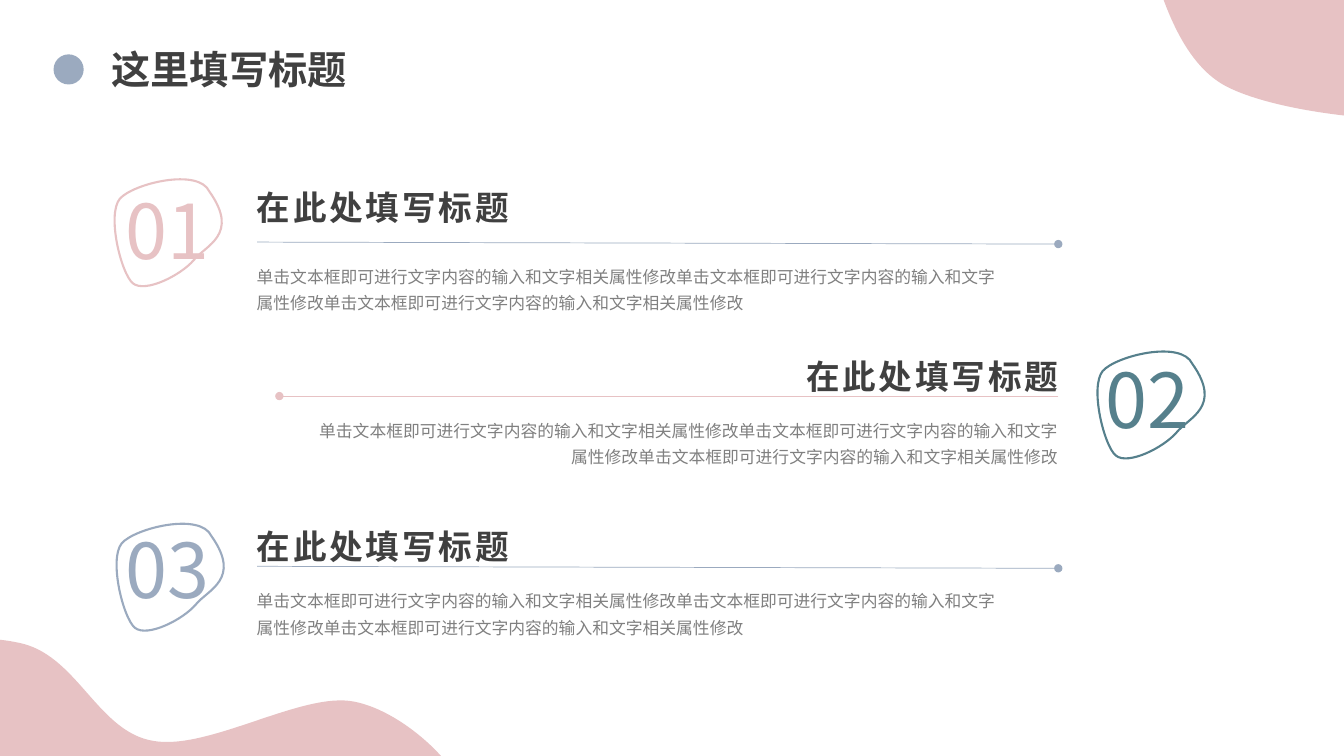
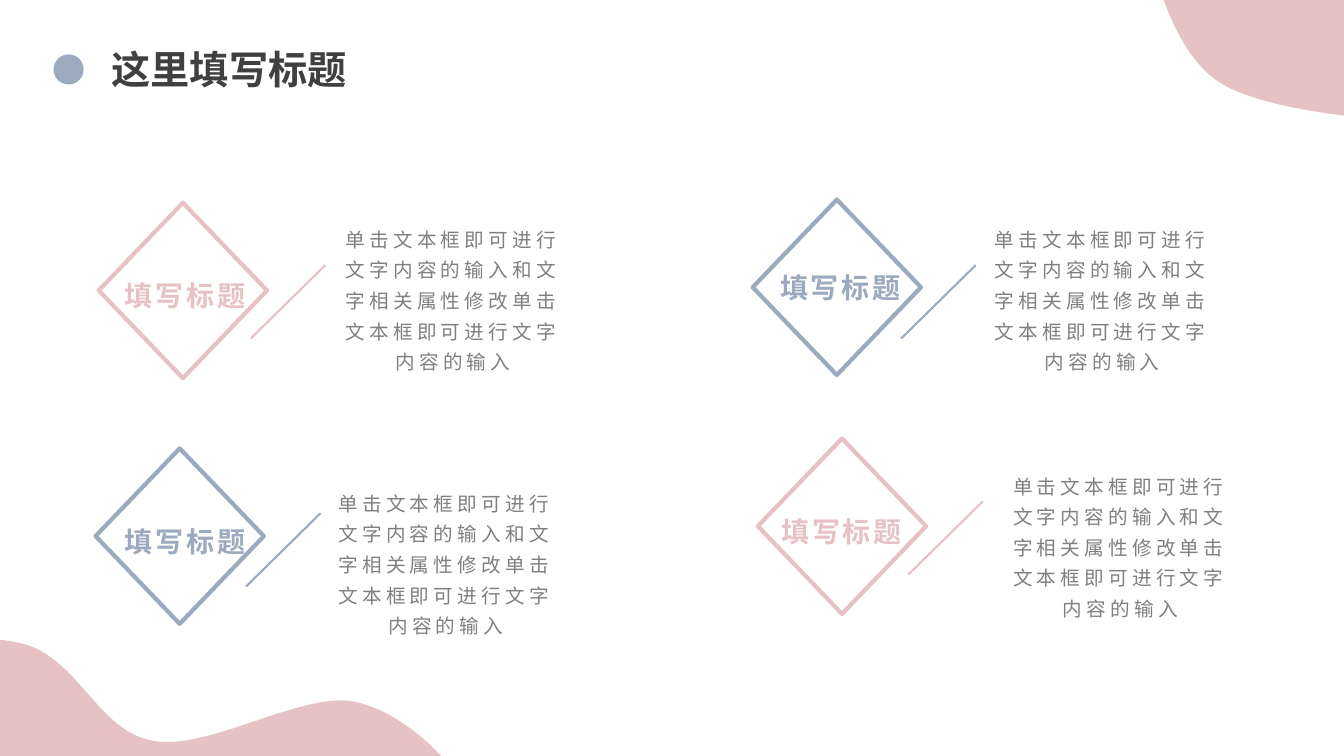
from lxml import etree
from pptx import Presentation
from pptx.dml.color import RGBColor
from pptx.enum.shapes import MSO_CONNECTOR as Connector, MSO_SHAPE as Shape
from pptx.enum.text import PP_ALIGN as Align
from pptx.oxml.ns import qn
from pptx.util import Cm, Pt

PINK = RGBColor(0xE7, 0xC2, 0xC4)
BLUE = RGBColor(0x9B, 0xAA, 0xBF)
TEAL = RGBColor(0x56, 0x80, 0x8C)
DARK = RGBColor(0x40, 0x40, 0x40)
GREY = RGBColor(0x80, 0x80, 0x80)
FONT = "Noto Sans CJK SC"

# Bezier outlines in hundredths of a centimetre: a start, then three points per curve.
CORNER = [
    (2860, -231),
    (2896, -157), (2931, 135), (3091, 218),
    (3254, 302), (3693, 333), (3825, 267),
    (3957, 201), (3980, -89), (3886, -183),
    (3792, -279), (3426, -295), (3259, -302),
    (3091, -310), (2944, -236), (2875, -226),
    (2809, -213), (2824, -305), (2860, -231),
]
WAVE = [
    (-432, 1648),
    (-348, 1615), (-74, 1588), (61, 1623),
    (198, 1661), (249, 1844), (386, 1867),
    (526, 1892), (762, 1742), (892, 1768),
    (1024, 1793), (1181, 1951), (1168, 2019),
    (1158, 2088), (1087, 2207), (818, 2172),
    (549, 2139), (-239, 1900), (-445, 1814),
    (-653, 1725), (-516, 1679), (-432, 1648),
]
PEBBLE = [
    (48, 259),
    (18, 234), (-18, 86), (15, 46),
    (48, 8), (213, -33), (241, 28),
    (318, 137), (231, 163), (201, 201),
    (168, 239), (79, 284), (48, 259),
]

TITLE = "这里填写标题"
HEADING = "在此处填写标题"
LABEL = "填写标题"
SECTION_BODY = (
    "单击文本框即可进行文字内容的输入和文字相关属性修改"
    "单击文本框即可进行文字内容的输入和文字"
    "属性修改单击文本框即可进行文字内容的输入和文字相关属性修改"
)
CARD_BODY = (
    "单击文本框即可进行文字内容的输入和文字相关属性修改"
    "单击文本框即可进行文字内容的输入"
)


class Deck:
    def __init__(self):
        self.prs = Presentation()
        self.prs.slide_width, self.prs.slide_height = Cm(33.87), Cm(19.05)
        self.s = None

    def new_slide(self, title):
        """Start a slide with the shared blobs, dot and title."""
        self.s = self.prs.slides.add_slide(self.prs.slide_layouts[6])
        self.curve(CORNER, fill=PINK)
        self.curve(WAVE, fill=PINK)
        self.text(title, 1.9, 1.02, 7.75, 1.45, 28, DARK, bold=True, align=Align.CENTER)
        self.shape(Shape.OVAL, 1.35, 1.37, 0.76, 0.76, fill=BLUE)

    def paint(self, sp, fill, line, width):
        sp.shadow.inherit = False
        if fill is None:
            sp.fill.background()
        else:
            sp.fill.solid()
            sp.fill.fore_color.rgb = fill
        if line is None:
            sp.line.fill.background()
        else:
            sp.line.color.rgb = line
            sp.line.width = Pt(width)

    def shape(self, kind, x, y, w, h, fill=None, line=None, width=1.5):
        sp = self.s.shapes.add_shape(kind, Cm(x), Cm(y), Cm(w), Cm(h))
        self.paint(sp, fill, line, width)

    def curve(self, points, x=0, y=0, fill=None, line=None, width=1.5):
        """Draw a closed Bezier outline, moved by x and y centimetres."""
        start, *rest = [(px + x * 100, py + y * 100) for px, py in points]
        builder = self.s.shapes.build_freeform(*start, scale=Cm(0.01))
        builder.add_line_segments(rest, close=True)
        sp = builder.convert_to_shape()
        outline = next(sp._element.iter(qn("a:path")))
        segments = outline.findall(qn("a:lnTo"))
        for i in range(0, len(segments), 3):
            bezier = etree.Element(qn("a:cubicBezTo"))
            segments[i].addprevious(bezier)
            for segment in segments[i:i + 3]:
                bezier.append(segment[0])
                outline.remove(segment)
        self.paint(sp, fill, line, width)

    def line(self, x1, y1, x2, y2, color, width, dot=False):
        """Draw a line, with a round dot at its end if asked."""
        c = self.s.shapes.add_connector(
            Connector.STRAIGHT, Cm(x1), Cm(y1), Cm(x2), Cm(y2))
        c.line.color.rgb = color
        c.line.width = Pt(width)
        if dot:
            etree.SubElement(c.line._get_or_add_ln(), qn("a:tailEnd"), type="oval")
        etree.SubElement(c._element.spPr, qn("a:effectLst"))

    def text(self, text, x, y, w, h, size, color, bold=False,
             align=Align.LEFT, leading=1.0, tracking=0):
        tf = self.s.shapes.add_textbox(Cm(x), Cm(y), Cm(w), Cm(h)).text_frame
        tf.word_wrap = True
        p = tf.paragraphs[0]
        p.text = text
        p.alignment = align
        p.line_spacing = leading
        p.font.name = FONT
        p.font.size = Pt(size)
        p.font.bold = bold
        p.font.color.rgb = color
        props = p._p.pPr.find(qn("a:defRPr"))
        props.set("spc", str(tracking * 100))
        etree.SubElement(props, qn("a:ea"), typeface=FONT)

    def section(self, number, color, badge, pebble, rule_y, rule_color, flipped=False):
        """Numbered heading, rule and body; flipped sets it against the right."""
        x, y = badge
        self.text(number, x, y, 3.02, 2.57, 54, color, align=Align.CENTER)
        self.curve(PEBBLE, *pebble, line=color)
        align = Align.RIGHT if flipped else Align.LEFT
        for text, top, w, h, style in (
            (HEADING, y - 0.13, 7.82, 1.4,
             dict(size=24, color=DARK, bold=True, leading=1.2, tracking=2)),
            (SECTION_BODY, rule_y + 0.35, 19.37, 1.52,
             dict(size=12, color=GREY, leading=1.3)),
        ):
            left = 26.92 - w if flipped else 6.22
            self.text(text, left, top, w, h, align=align, **style)
        if flipped:
            self.line(26.67, rule_y, 7.04, rule_y, rule_color, 0.5, dot=True)
        else:
            self.line(6.48, rule_y, 26.67, rule_y + 0.05, rule_color, 0.5, dot=True)

    def card(self, color, diamond, slash, label, body):
        """Diamond with a label, a slash and a body text, each at its own corner."""
        self.shape(Shape.DIAMOND, *diamond, 4.24, 4.42, line=color, width=3)
        x, y = slash
        self.line(x, y, x + 1.88, y - 1.85, color, 1.5)
        self.text(LABEL, *label, 7.82, 1.19, 20, color, bold=True,
                  align=Align.CENTER, leading=1.2, tracking=2)
        self.text(CARD_BODY, *body, 6.17, 4.06, 14, GREY,
                  align=Align.CENTER, leading=1.3, tracking=3)


def main():
    deck = Deck()

    deck.new_slide(TITLE)
    deck.section("01", PINK, (2.72, 4.5), (2.87, 4.55), 6.1, BLUE)
    deck.section("02", TEAL, (27.41, 8.76), (27.64, 8.89), 9.98, PINK, flipped=True)
    deck.section("03", BLUE, (2.72, 13.06), (2.92, 13.23), 14.27, BLUE)

    deck.new_slide(TITLE)
    deck.card(PINK, (2.49, 5.11), (6.32, 8.53), (0.76, 6.73), (8.33, 5.44))
    deck.card(BLUE, (18.97, 5.03), (22.71, 8.53), (17.27, 6.53), (24.69, 5.44))
    deck.card(BLUE, (2.41, 11.3), (6.2, 14.78), (0.76, 12.93), (8.15, 12.09))
    deck.card(PINK, (19.1, 11.05), (22.89, 14.48), (17.3, 12.67), (25.15, 11.66))

    deck.prs.save("out.pptx")


if __name__ == "__main__":
    main()
